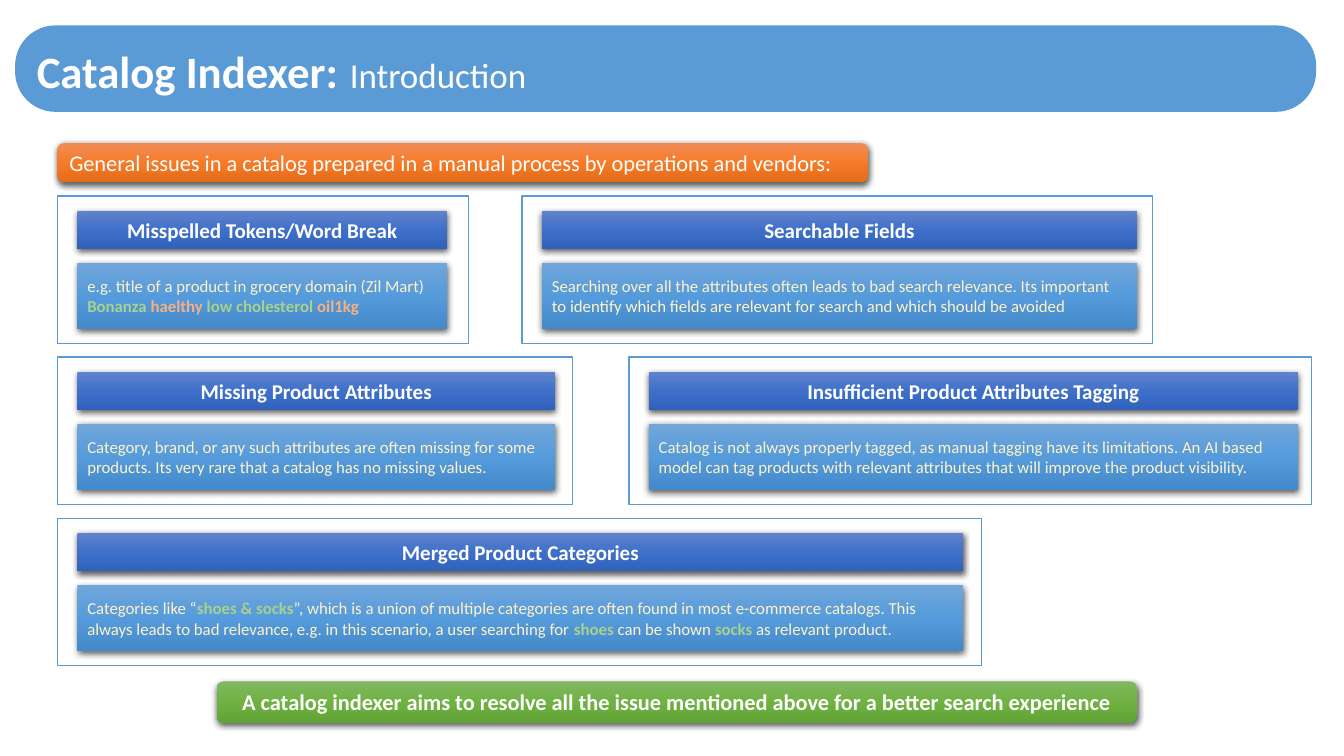
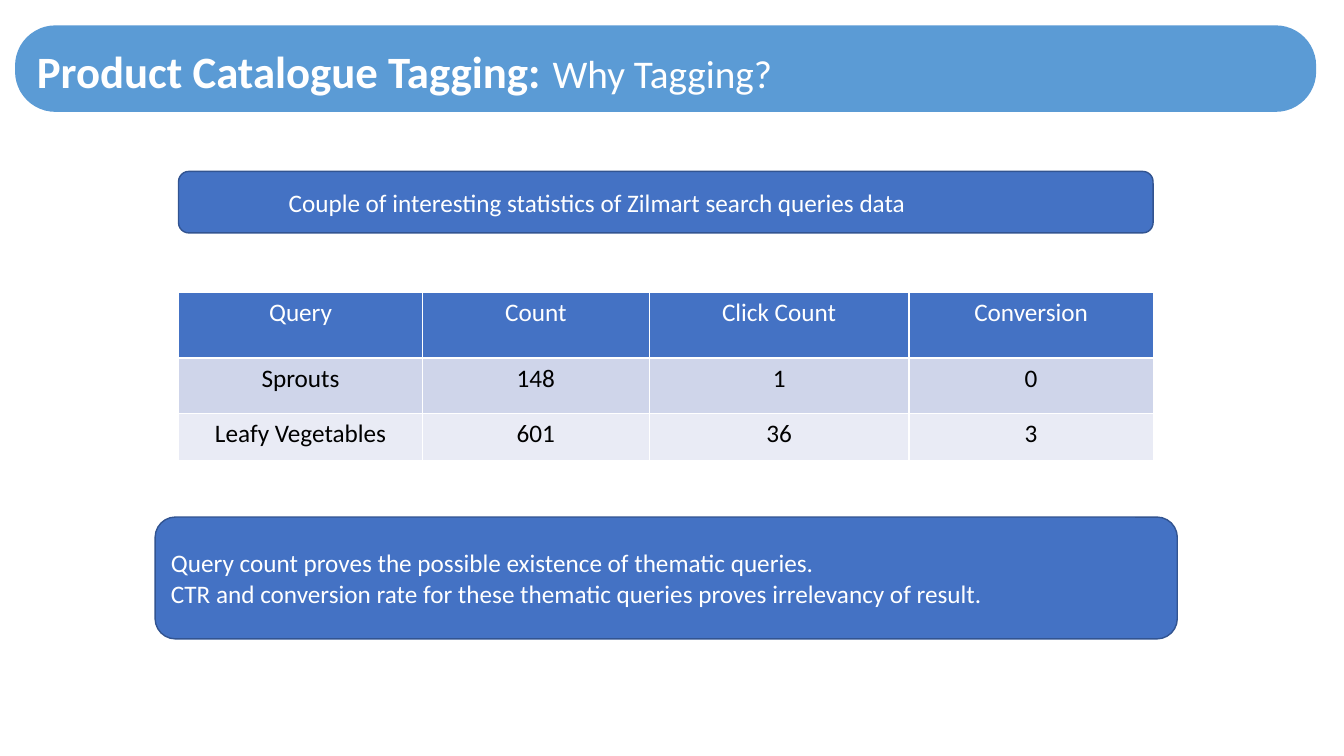
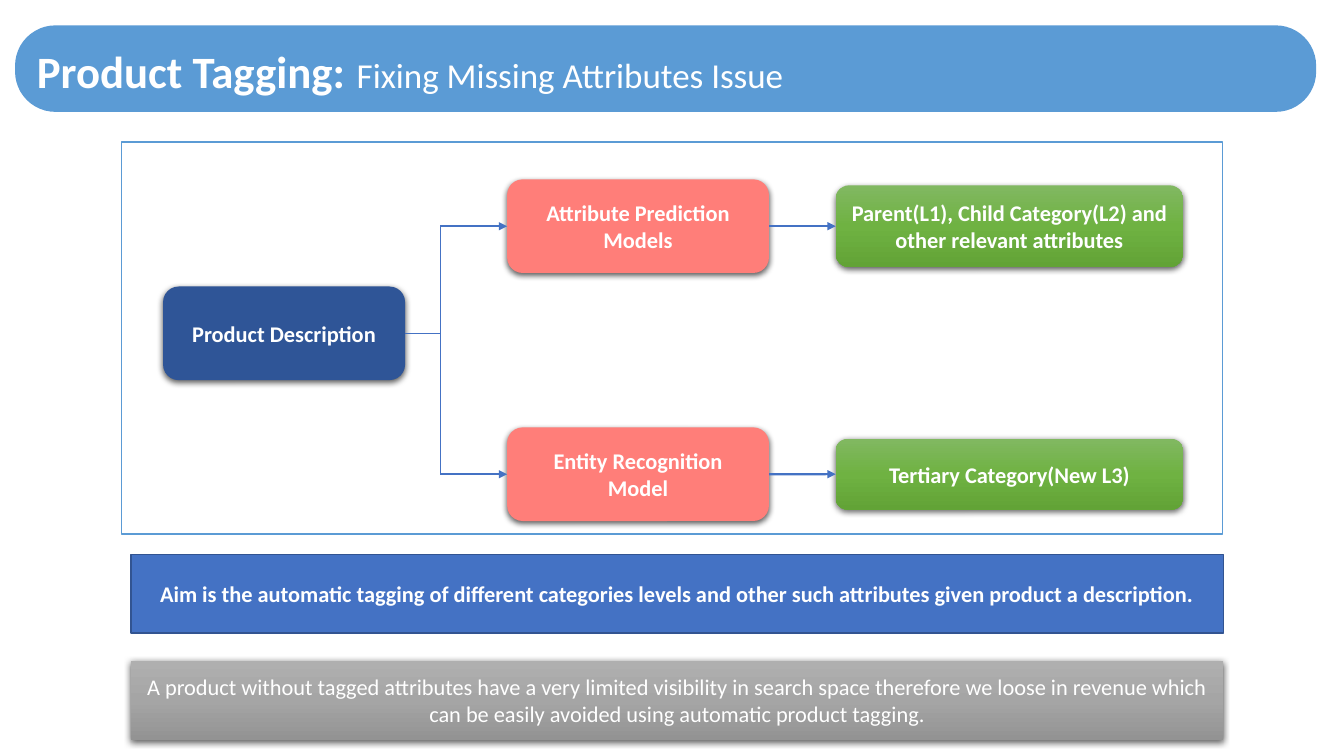
from copy import deepcopy
from dataclasses import dataclass

from lxml.etree import SubElement
from pptx import Presentation
from pptx.dml.color import RGBColor
from pptx.enum.shapes import MSO_CONNECTOR, MSO_SHAPE
from pptx.enum.text import MSO_ANCHOR, PP_ALIGN
from pptx.oxml.ns import qn
from pptx.util import Cm, Pt


@dataclass(frozen=True)
class Theme:
    font: str = "Calibri"
    white: str = "FFFFFF"
    black: str = "000000"
    sky: str = "5B9BD5"
    blue: str = "4472C4"
    edge: str = "325491"
    navy: str = "2F5597"
    coral: str = "FF7E79"
    cream: str = "FFF2CC"
    mint: str = "A9D18E"
    peach: str = "F4B183"
    bands: tuple = ("CFD5EA", "E9EBF5")
    orange: tuple = ("F18C57", "F67B28", "E56C19")
    royal: tuple = ("6183CB", "3E70CA", "3062BB")
    azure: tuple = ("71A6DB", "559BDB", "448ACA")
    green: tuple = ("81B861", "6FB242", "62A336")
    gray: tuple = ("AFAFAF", "A5A5A5", "939393")
    title: int = 32
    gap: int = 36
    large: int = 18
    base: int = 16
    head: int = 15
    small: int = 12


T = Theme()
RECT = MSO_SHAPE.RECTANGLE
ROUND = MSO_SHAPE.ROUNDED_RECTANGLE
LEFT = PP_ALIGN.LEFT
MID = PP_ALIGN.CENTER


def rgb(code):
    return RGBColor.from_string(code)


def write(frame, *paras, size=T.base, color=T.white, bold=False, align=MID):
    frame.word_wrap = True
    for i, runs in enumerate(paras):
        para = frame.paragraphs[0] if i == 0 else frame.add_paragraph()
        para.alignment = align
        for part in [(runs, {})] if isinstance(runs, str) else runs:
            text, form = part
            run = para.add_run()
            run.text = text
            font = run.font
            font.name = T.font
            font.size = Pt(form.get("size", size))
            font.bold = form.get("bold", bold)
            font.color.rgb = rgb(form.get("color", color))


def blend(shape, tones):
    shape.fill.gradient()
    shape.fill.gradient_angle = 270
    stops = shape._element.xpath(".//a:gsLst")[0]
    stops.append(deepcopy(stops[0]))
    for i, (stop, tone) in enumerate(zip(shape.fill.gradient_stops, tones)):
        stop.position = i / 2
        stop.color.rgb = rgb(tone)


def shade(shape):
    effects = shape._element.spPr.find(qn("a:effectLst"))
    outer = SubElement(effects, qn("a:outerShdw"), blurRad="57150", dist="19050",
                       dir="5400000", algn="ctr", rotWithShape="0")
    tone = SubElement(outer, qn("a:srgbClr"), val=T.black)
    SubElement(tone, qn("a:alpha"), val="63000")


def box(slide, place, *paras, kind=RECT, fill=T.white, line=None, cast=False, **form):
    shape = slide.shapes.add_shape(kind, *map(Cm, place))
    shape.shadow.inherit = False
    if isinstance(fill, tuple):
        blend(shape, fill)
    else:
        shape.fill.solid()
        shape.fill.fore_color.rgb = rgb(fill)
    if line:
        shape.line.color.rgb = rgb(line)
        shape.line.width = Pt(1)
    else:
        shape.line.fill.background()
    if cast:
        shade(shape)
    shape.text_frame.vertical_anchor = MSO_ANCHOR.MIDDLE
    write(shape.text_frame, *paras, **form)
    return shape


def link(slide, start, end, width=0.5, head=False, source=None, target=None):
    wire = slide.shapes.add_connector(MSO_CONNECTOR.STRAIGHT, *map(Cm, start + end))
    wire.line.color.rgb = rgb(T.blue)
    wire.line.width = Pt(width)
    props = wire._element.spPr
    if head:
        SubElement(props.find(qn("a:ln")), qn("a:tailEnd"), type="triangle")
    SubElement(props, qn("a:effectLst"))
    if source:
        wire.begin_connect(source, 3)
    if target:
        wire.end_connect(target, 1)


def start(deck, head, tail, size):
    slide = deck.slides.add_slide(deck.slide_layouts[6])
    runs = [(head, {"size": T.title, "bold": True}), (" ", {"size": T.gap}),
            (tail, {"size": size})]
    bar = box(slide, (0.38, 0.64, 32.79, 2.18), runs, kind=ROUND, fill=T.sky, align=LEFT)
    bar.adjustments[0] = 0.467
    return slide


def card(slide, left, row, width, inner, head, *body):
    top = 4.94 + 4.06 * row
    box(slide, (left, top, width, 3.71), line=T.sky)
    box(slide, (left + 0.5, top + 0.37, inner, 0.97), head, fill=T.royal, cast=True,
        size=T.head, bold=True)
    box(slide, (left + 0.5, top + 1.69, inner, 1.66), *body, fill=T.azure, cast=True,
        size=T.small, color=T.cream, align=LEFT)


def grid(slide, place, widths, heights, rows):
    table = slide.shapes.add_table(len(rows), len(widths), *map(Cm, place)).table
    for col, width in zip(table.columns, widths):
        col.width = Cm(width)
    for i, (height, row) in enumerate(zip(heights, rows)):
        table.rows[i].height = Cm(height)
        for j, text in enumerate(row):
            cell = table.cell(i, j)
            cell.fill.solid()
            cell.fill.fore_color.rgb = rgb(T.bands[i - 1] if i else T.blue)
            write(cell.text_frame, text, size=T.large, color=T.black if i else T.white)


def intro(deck):
    slide = start(deck, "Catalog Indexer:", "Introduction", 25)
    good = {"color": T.mint, "bold": True}
    bad = {"color": T.peach, "bold": True}
    box(slide, (1.45, 3.61, 20.42, 0.97),
        "General issues in a catalog prepared in a manual process by operations and vendors:",
        kind=ROUND, fill=T.orange, cast=True, align=LEFT)
    card(slide, 1.45, 0, 10.36, 9.32, "Misspelled Tokens/Word Break",
         "e.g. title of a product in grocery domain (Zil Mart)",
         [("Bonanza ", good), ("haelthy", bad), (" low cholesterol ", good), ("oil1kg", bad)])
    card(slide, 13.16, 0, 15.88, 14.99, "Searchable Fields",
         "Searching over all the attributes often leads to bad search relevance. Its important "
         "to identify which fields are relevant for search and which should be avoided")
    card(slide, 1.45, 1, 12.98, 12.04, "Missing Product Attributes",
         "Category, brand, or any such attributes are often missing for some products. "
         "Its very rare that a catalog has no missing values.")
    card(slide, 15.85, 1, 17.2, 16.36, "Insufficient Product Attributes Tagging",
         "Catalog is not always properly tagged, as manual tagging have its limitations. "
         "An AI based model can tag products with relevant attributes that will improve "
         "the product visibility.")
    card(slide, 1.45, 2, 23.29, 22.33, "Merged Product Categories",
         [("Categories like “", {}), ("shoes & socks", good),
          ("”, which is a union of multiple categories are often found in most e-commerce "
           "catalogs. This always leads to bad relevance, e.g. in this scenario, a user "
           "searching for ", {}),
          ("shoes", good), (" can be shown ", {}), ("socks", good),
          (" as relevant product.", {})])
    box(slide, (5.46, 17.17, 23.19, 1.04),
        "A catalog indexer aims to resolve all the issue mentioned above for a better "
        "search experience", kind=ROUND, fill=T.green, cast=True, bold=True)


def stats(deck):
    slide = start(deck, "Product Catalogue Tagging:", "Why Tagging?", 28)
    look = {"kind": ROUND, "fill": T.blue, "line": T.edge, "size": T.large, "align": LEFT}
    lead = box(slide, (4.5, 4.32, 24.56, 1.55),
               "Couple of interesting statistics of Zilmart search queries data", **look)
    lead.text_frame.margin_left = Cm(2.7)
    grid(slide, (4.5, 7.37, 24.56, 4.24), (6.15, 5.71, 6.55, 6.15), (1.65, 1.4, 1.19),
         (("Query", "Count", "Click Count", "Conversion"),
          ("Sprouts", "148", "1", "0"),
          ("Leafy Vegetables", "601", "36", "3")))
    box(slide, (3.91, 13.03, 25.76, 3.07),
        "Query count proves the possible existence of thematic queries.",
        "CTR and conversion rate for these thematic queries proves irrelevancy of result.",
        **look)


def flow(deck):
    slide = start(deck, "Product Tagging:", "Fixing Missing Attributes Issue", 25)
    box(slide, (3.07, 3.58, 27.74, 9.88), line=T.sky)
    look = {"kind": ROUND, "cast": True, "bold": True}
    fork, mid, high, low = 11.1, 8.4, 5.7, 11.95
    root = box(slide, (4.11, mid - 1.18, 6.1, 2.36), "Product Description",
               fill=T.navy, **look)
    link(slide, (10.21, mid), (fork, mid), source=root)
    link(slide, (fork, high), (fork, low))
    lanes = (
        (high, "Attribute Prediction Models", 2.06,
         "Parent(L1), Child Category(L2) and other relevant attributes"),
        (low, "Entity Recognition Model", 1.78, "Tertiary Category(New L3)"),
    )
    for y, name, tall, text in lanes:
        model = box(slide, (12.78, y - 1.18, 6.6, 2.36), name, fill=T.coral, **look)
        goal = box(slide, (21.06, y - tall / 2, 8.76, tall), text, fill=T.green, **look)
        link(slide, (fork, y), (12.78, y), 1.5, True, target=model)
        link(slide, (19.38, y), (21.06, y), 1.5, True, source=model, target=goal)
    box(slide, (3.3, 13.97, 27.53, 1.98),
        "Aim is the automatic tagging of different categories levels and other such "
        "attributes given product a description.", fill=T.blue, line=T.edge, bold=True)
    box(slide, (3.3, 16.66, 27.53, 1.98),
        "A product without tagged attributes have a very limited visibility in search space "
        "therefore we loose in revenue which can be easily avoided using automatic product "
        "tagging.", fill=T.gray, cast=True)


def main():
    deck = Presentation()
    deck.slide_width = Cm(33.87)
    deck.slide_height = Cm(19.05)
    for build in (intro, stats, flow):
        build(deck)
    deck.save("out.pptx")


if __name__ == "__main__":
    main()
